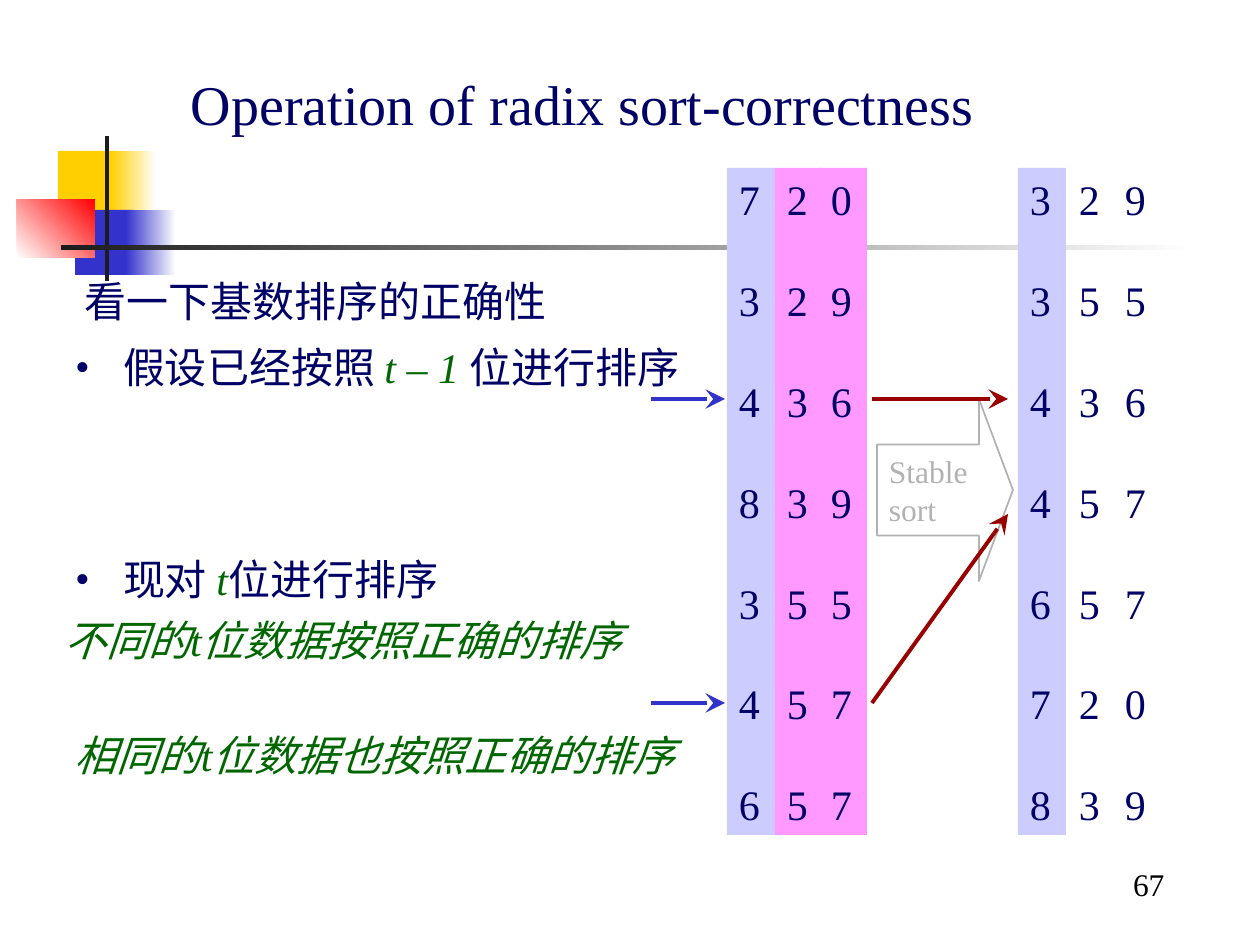
import pptx
import pptx.dml.color
import pptx.enum.shapes
import pptx.enum.text
import pptx.oxml.ns
import pptx.util
from lxml import etree

SHAPES = pptx.enum.shapes.MSO_SHAPE
ANCHOR = pptx.enum.text.MSO_ANCHOR
FONT = "Times New Roman"
NAVY, GREEN, GREY, WHITE = "000066", "006600", "B2B2B2", "FFFFFF"
LILAC, PINK, BLUE, DARK_RED = "CCCCFF", "FF99FF", "3333CC", "990000"
YELLOW, RED, BLACK = "FFCF01", "FF0000", "1C1C1C"


def px(length):
    """Turn pixels at 126 to the inch into EMU."""
    return pptx.util.Emu(round(length * 914400 / 126))


def color(value):
    """Turn a hex string into a colour."""
    return pptx.dml.color.RGBColor.from_string(value)


def add_child(parent, tag, **attributes):
    """Append a DrawingML element to a parent element."""
    return etree.SubElement(parent, pptx.oxml.ns.qn(tag), attributes)


def style_font(font, size, ink, italic=False):
    """Set the face, size and colour of a font."""
    font.name, font.size, font.italic = FONT, pptx.util.Pt(size), italic
    font.color.rgb = color(ink)


def set_frame(frame, anchor=ANCHOR.TOP):
    """Set wrapping, margins and anchor of a text frame."""
    frame.word_wrap = True
    frame.auto_size = pptx.enum.text.MSO_AUTO_SIZE.NONE
    frame.vertical_anchor = anchor
    frame.margin_left = frame.margin_right = px(12)
    frame.margin_top = frame.margin_bottom = px(6)


def add_rectangle(slide, left, top, width, height, fill, fade_to=None, angle=0):
    """Draw a borderless rectangle, plain or fading to a second colour."""
    shape = slide.shapes.add_shape(SHAPES.RECTANGLE, px(left), px(top), px(width), px(height))
    shape.shadow.inherit = False
    shape.line.fill.background()
    if fade_to:
        shape.fill.gradient()
        shape.fill.gradient_angle = angle
        for stop, value in zip(shape.fill.gradient_stops, (fill, fade_to)):
            stop.color.rgb = color(value)
    else:
        shape.fill.solid()
        shape.fill.fore_color.rgb = color(fill)
    return shape


def add_text(slide, left, top, width, height, runs, size=24, indent=0, bullet=False):
    """Add a one-paragraph text box from (text, colour, italic) runs."""
    box = slide.shapes.add_textbox(px(left), px(top), px(width), px(height))
    set_frame(box.text_frame)
    paragraph = box.text_frame.paragraphs[0]
    properties = paragraph._p.get_or_add_pPr()
    properties.set("marL", str(px(indent)))
    if bullet:
        properties.set("indent", str(-px(indent)))
        add_child(properties, "a:buFont", typeface=FONT)
        add_child(properties, "a:buChar", char="•")
    for text, ink, italic in runs:
        run = paragraph.add_run()
        run.text = text
        style_font(run.font, size, ink, italic)


def add_digits(slide, left, digits, fill=None):
    """Add one column of digits, one paragraph to a number."""
    column = add_rectangle(slide, left, 168, 48, 667, fill or WHITE)
    if not fill:
        column.fill.background()
    set_frame(column.text_frame)
    column.text_frame.text = "\n".join(digits)
    for row, paragraph in enumerate(column.text_frame.paragraphs):
        paragraph.alignment = pptx.enum.text.PP_ALIGN.LEFT
        paragraph.space_before = pptx.util.Pt(28.8 if row else 0)
        paragraph.line_spacing = pptx.util.Pt(28.8)
        style_font(paragraph.font, 24, NAVY)


def add_numbers(slide, numbers, columns):
    """Add a list of numbers as digit columns of (left, fill)."""
    for digits, (left, fill) in zip(zip(*numbers), columns):
        add_digits(slide, left, digits, fill)


def add_arrow(slide, start, end, ink):
    """Draw a line with a stealth head at its end."""
    line = slide.shapes.add_connector(
        pptx.enum.shapes.MSO_CONNECTOR.STRAIGHT, *map(px, start + end))
    line.line.color.rgb = color(ink)
    line.line.width = pptx.util.Pt(2.25)
    add_child(line.line._get_or_add_ln(), "a:tailEnd", type="stealth", w="lg", len="lg")
    add_child(line._element.spPr, "a:effectLst")


def add_sort_arrow(slide):
    """Draw the outlined block arrow that names the stable sort."""
    arrow = slide.shapes.add_shape(SHAPES.RIGHT_ARROW, px(877), px(399), px(136), px(182))
    arrow.shadow.inherit = False
    arrow.adjustments[0], arrow.adjustments[1] = 0.5, 0.25
    arrow.fill.background()
    arrow.line.color.rgb = color(GREY)
    arrow.line.width = pptx.util.Pt(1)
    set_frame(arrow.text_frame, ANCHOR.MIDDLE)
    arrow.text_frame.text = "Stable\nsort"
    for paragraph in arrow.text_frame.paragraphs:
        paragraph.alignment = pptx.enum.text.PP_ALIGN.LEFT
        paragraph.line_spacing = pptx.util.Pt(21.6)
        style_font(paragraph.font, 18, GREY)


def add_title(slide, text):
    """Place and format the title placeholder."""
    title = slide.shapes.title
    title.left, title.top, title.width, title.height = map(px, (179, 63, 998, 79))
    set_frame(title.text_frame)
    title.text_frame.text = text
    paragraph = title.text_frame.paragraphs[0]
    paragraph.alignment = pptx.enum.text.PP_ALIGN.LEFT
    style_font(paragraph.font, 32, NAVY)


def add_decoration(slide):
    """Draw the coloured squares and crossed bars."""
    add_rectangle(slide, 58, 151, 60, 66, YELLOW)
    add_rectangle(slide, 111, 151, 45, 66, YELLOW, WHITE)
    add_rectangle(slide, 75, 210, 58, 65, BLUE)
    add_rectangle(slide, 126, 210, 50, 65, BLUE, WHITE)
    add_rectangle(slide, 17, 199, 78, 59, WHITE, RED, 45)
    add_rectangle(slide, 105, 136, 4, 145, BLACK)
    add_rectangle(slide, 61, 245, 1134, 5, BLACK, WHITE)


def main():
    """Build the slide and save it."""
    presentation = pptx.Presentation()
    presentation.slide_width, presentation.slide_height = px(1260), px(945)
    slide = presentation.slides.add_slide(presentation.slide_layouts[5])
    add_decoration(slide)
    add_title(slide, "Operation of radix sort-correctness")

    before = ["720", "329", "436", "839", "355", "457", "657"]
    add_numbers(slide, before, [(727, LILAC), (775, PINK), (819, PINK)])
    add_numbers(slide, sorted(before), [(1018, LILAC), (1067, None), (1113, None)])

    add_sort_arrow(slide)
    for y in (399, 703):
        add_arrow(slide, (651, y), (725, y), BLUE)
    add_arrow(slide, (872, 703), (1008, 514), DARK_RED)
    add_arrow(slide, (872, 399), (1008, 399), DARK_RED)

    add_text(slide, 63, 270, 580, 63, [("看一下基数排序的正确性", NAVY, False)], indent=10)
    add_text(slide, 63, 336, 651, 64, [
        ("假设已经按照 ", NAVY, False), ("t – 1 ", GREEN, True),
        ("位进行排序", NAVY, False)], indent=48, bullet=True)
    add_text(slide, 63, 548, 508, 63, [
        ("现对 ", NAVY, False), ("t", GREEN, True),
        ("位进行排序", NAVY, False)], indent=48, bullet=True)
    add_text(slide, 42, 609, 625, 64, [("不同的t位数据按照正确的排序", GREEN, True)], indent=10)
    add_text(slide, 63, 724, 630, 63, [("相同的t位数据也按照正确的排序", GREEN, True)])
    add_text(slide, 1121, 859, 110, 63, [("67", "000000", False)], size=18)
    presentation.save("out.pptx")


if __name__ == "__main__":
    main()
